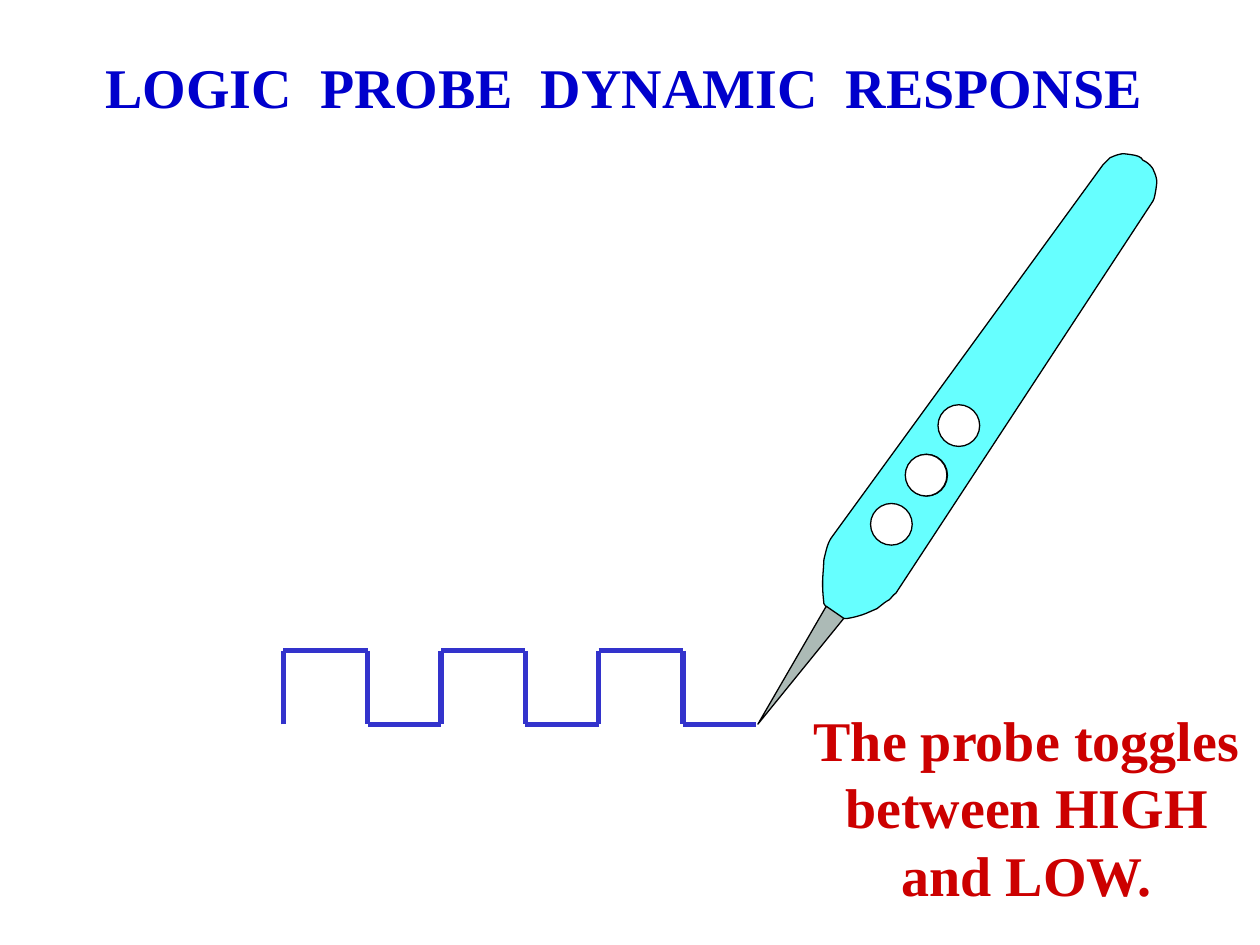
"""Build a slide that shows a logic probe reading a pulse train."""
from itertools import pairwise

from lxml.etree import SubElement
from pptx import Presentation
from pptx.dml.color import RGBColor
from pptx.enum.shapes import MSO_CONNECTOR as Connector
from pptx.enum.shapes import MSO_SHAPE as Shape
from pptx.enum.text import MSO_AUTO_SIZE as AutoSize
from pptx.enum.text import PP_ALIGN as Align
from pptx.oxml.ns import qn
from pptx.util import Cm, Pt

COLORS = {
    "title": "0000CC",
    "message": "CC0000",
    "wave": "3333CC",
    "body": "66FFFF",
    "tip": "ACBAB6",
    "lamp": "FFFFFF",
    "outline": "000000",
}
FONT = "Times New Roman"
BODY_START = (16.79, 10.8)
BODY_SEGMENTS = [
    [(16.69, 10.92), (16.66, 11.07), (16.61, 11.28)],
    [(16.59, 11.68), (16.56, 11.73), (16.61, 12.17)],
    [(16.64, 12.24), (16.87, 12.45), (16.87, 12.45)],
    [(16.92, 12.47), (17.07, 12.47), (17.07, 12.47)],
    [(17.2, 12.45), (17.32, 12.42), (17.45, 12.37)],
    [(17.68, 12.27)],
    [(17.75, 12.22), (17.83, 12.14), (17.93, 12.09)],
    [(17.98, 12.04), (18.01, 11.99), (18.06, 11.96)],
    [(23.24, 4.06)],
    [(23.29, 3.99), (23.32, 3.68), (23.32, 3.68)],
    [(23.32, 3.56), (23.27, 3.48), (23.24, 3.4)],
    [(23.19, 3.33), (23.14, 3.28), (23.04, 3.23)],
    [(22.99, 3.12), (22.78, 3.12), (22.66, 3.1)],
    [(22.56, 3.1), (22.45, 3.15), (22.38, 3.18)],
    [(22.23, 3.33)],
]
LAMPS = [(18.91, 8.16), (18.26, 9.16), (18.25, 9.16), (17.55, 10.15)]
LAMP_SIZE = 0.84


def color(name):
    """Return the named colour."""
    return RGBColor.from_string(COLORS[name])


def paint(shape, fill):
    """Give a shape a flat fill and a thin outline."""
    shape.shadow.inherit = False
    shape.fill.solid()
    shape.fill.fore_color.rgb = color(fill)
    shape.line.color.rgb = color("outline")
    shape.line.width = Pt(0.75)


def add_preset(page, kind, left, top, width, height, fill, rotation=0):
    """Add a painted preset shape."""
    shape = page.shapes.add_shape(kind, Cm(left), Cm(top), Cm(width), Cm(height))
    shape.rotation = rotation
    paint(shape, fill)


def curve_points(start, first, second, end, steps=6):
    """Return points along a cubic curve, without its start."""
    points = []
    for step in range(1, steps + 1):
        t = step / steps
        weights = ((1 - t) ** 3, 3 * t * (1 - t) ** 2, 3 * t * t * (1 - t), t ** 3)
        points.append(tuple(
            sum(weight * value for weight, value in zip(weights, axis))
            for axis in zip(start, first, second, end)
        ))
    return points


def add_body(page):
    """Add the rounded handle of the probe."""
    points = [BODY_START]
    for segment in BODY_SEGMENTS:
        curved = len(segment) == 3
        points += curve_points(points[-1], *segment) if curved else segment
    corners = [(Cm(x), Cm(y)) for x, y in points]
    builder = page.shapes.build_freeform(*corners[0])
    builder.add_line_segments(corners[1:], close=True)
    paint(builder.convert_to_shape(), "body")


def add_text(page, left, top, width, height, lines, tone):
    """Add a centred bold text box with one paragraph a line."""
    box = page.shapes.add_textbox(Cm(left), Cm(top), Cm(width), Cm(height))
    frame = box.text_frame
    frame.word_wrap = False
    frame.auto_size = AutoSize.SHAPE_TO_FIT_TEXT
    for index, line in enumerate(lines):
        para = frame.add_paragraph() if index else frame.paragraphs[0]
        para.alignment = Align.CENTER
        span = para.add_run()
        span.text = line
        span.font.name = FONT
        span.font.size = Pt(32)
        span.font.bold = True
        span.font.color.rgb = color(tone)


def add_line(page, start, end):
    """Add one straight stroke of the wave."""
    x1, y1, x2, y2 = (Cm(value) for value in (*start, *end))
    line = page.shapes.add_connector(Connector.STRAIGHT, x1, y1, x2, y2)
    line.line.color.rgb = color("wave")
    line.line.width = Pt(3)
    SubElement(line._element.spPr, qn("a:effectLst"))


def add_wave(page, left=5.71, high=13.12, low=14.6, pulse=1.7, period=3.18, count=3):
    """Add a square wave that starts and ends low."""
    corners = [(left, low)]
    for index in range(count):
        rise = left + index * period
        fall = rise + pulse
        corners += [(rise, high), (fall, high), (fall, low), (rise + period, low)]
    for start, end in pairwise(corners):
        add_line(page, start, end)


def main():
    """Build and save the slide."""
    deck = Presentation()
    deck.slide_width, deck.slide_height = Cm(25.4), Cm(19.05)
    page = deck.slides.add_slide(deck.slide_layouts[6])
    add_body(page)
    add_preset(page, Shape.ISOSCELES_TRIANGLE, 15.84, 12.1, 0.43, 2.74, "tip", 214.6)
    add_text(page, 1.78, 0.94, 21.6, 1.63, ["LOGIC  PROBE  DYNAMIC  RESPONSE"], "title")
    message = ["The probe toggles", "between HIGH", "and LOW."]
    add_text(page, 16.15, 14.1, 9.09, 4.32, message, "message")
    for left, top in LAMPS:
        add_preset(page, Shape.OVAL, left, top, LAMP_SIZE, LAMP_SIZE, "lamp")
    add_wave(page)
    deck.save("out.pptx")


if __name__ == "__main__":
    main()
